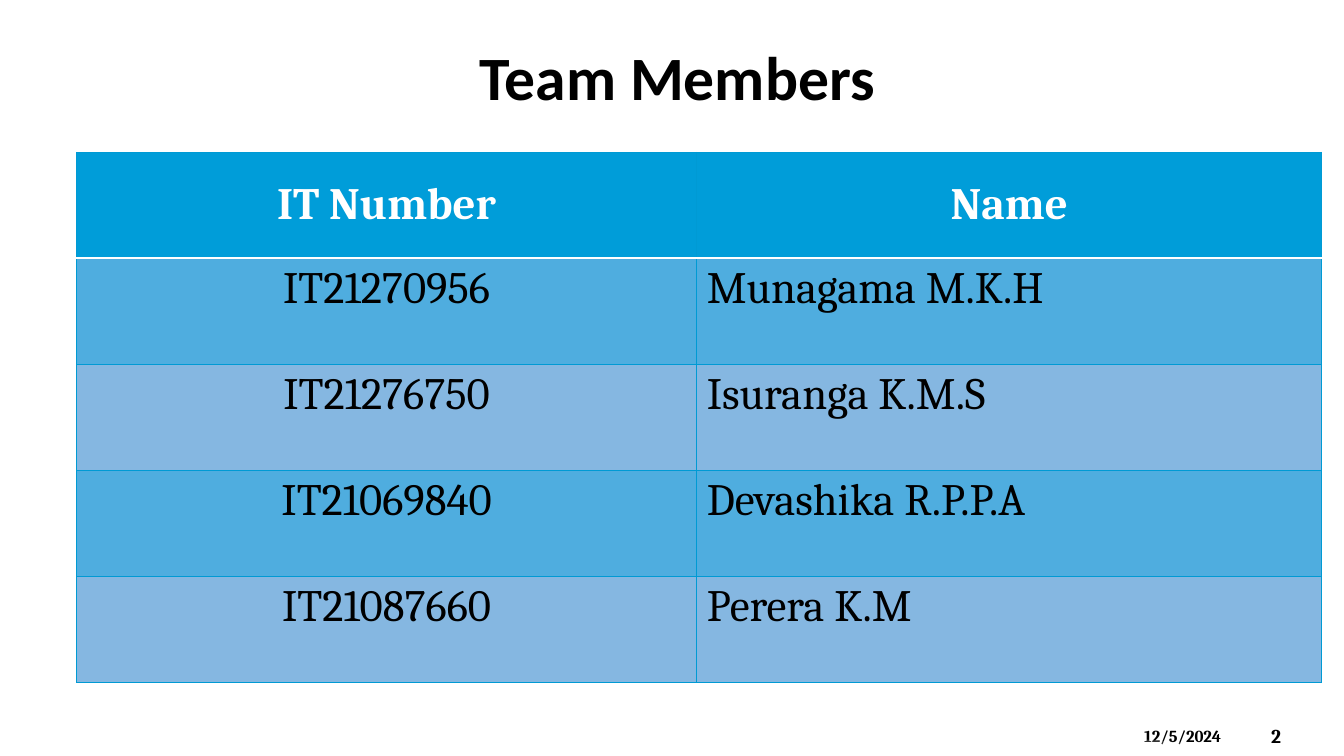
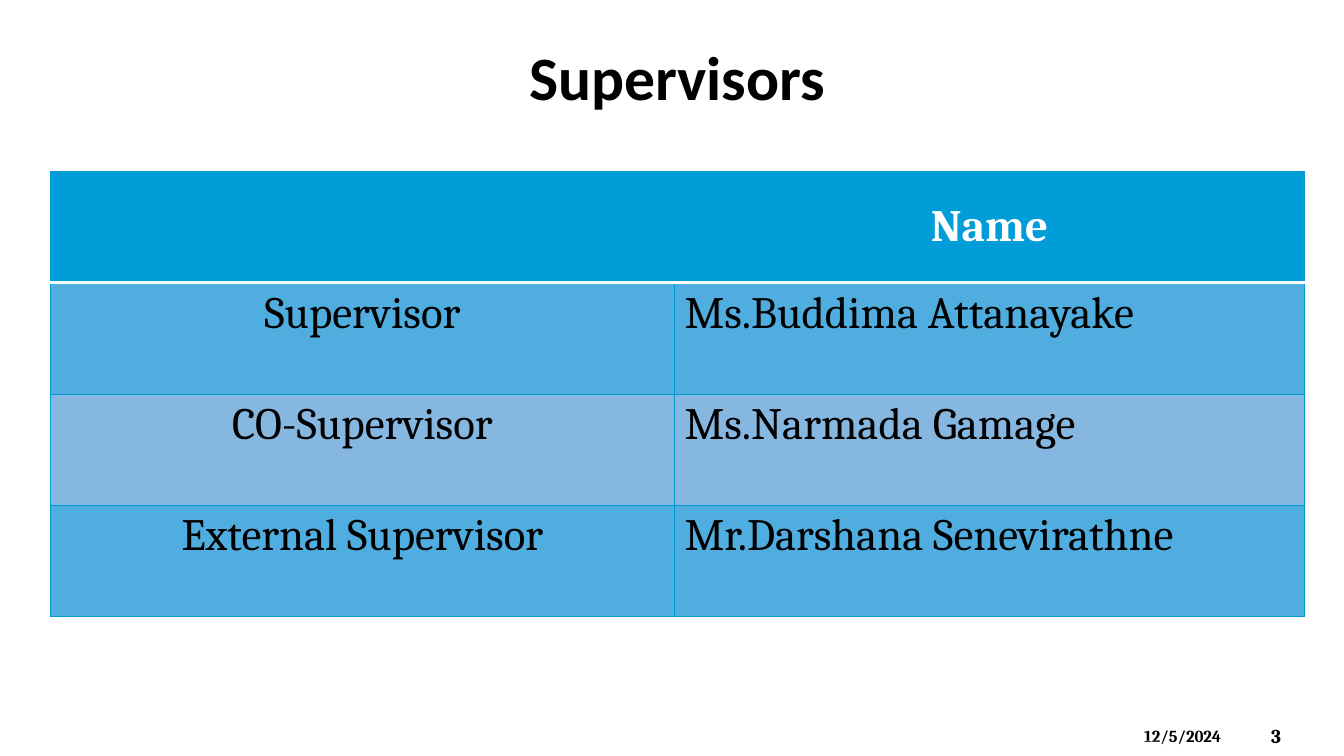
from lxml import etree
from pptx import Presentation
from pptx.dml.color import RGBColor
from pptx.enum.shapes import MSO_SHAPE
from pptx.enum.text import MSO_ANCHOR, PP_ALIGN
from pptx.oxml.ns import qn
from pptx.util import Inches, Pt

CENTER, LEFT, JUSTIFY = PP_ALIGN.CENTER, PP_ALIGN.LEFT, PP_ALIGN.JUSTIFY
TOP, MIDDLE = MSO_ANCHOR.TOP, MSO_ANCHOR.MIDDLE
TRIANGLE = MSO_SHAPE.ISOSCELES_TRIANGLE

COLORS = {
    "text": "000000",
    "white": "FFFFFF",
    "header": "009DD9",
    "odd_row": "4FADDF",
    "even_row": "85B7E1",
    "border": "009AD4",
}
TITLE_FONT, BODY_FONT = "Calibri", "Cambria"
DATE = "12/5/2024"
WIDTH, HEIGHT = 13.33, 7.5
FOOTER_PEAKS = [(0.41, 0.63), (0.2, 0.39)]

SLIDES = [
    {
        "number": 2,
        "title": "Team Members",
        "box": (0.76, 1.51, 12.35, 5.26),
        "first_col": 6.15,
        "rows": [
            ("IT Number", "Name"),
            ("IT21270956", "Munagama M.K.H"),
            ("IT21276750", "Isuranga K.M.S"),
            ("IT21069840", "Devashika R.P.P.A"),
            ("IT21087660", "Perera K.M"),
        ],
    },
    {
        "number": 3,
        "title": "Supervisors",
        "box": (0.5, 1.7, 12.44, 4.42),
        "first_col": 6.19,
        "rows": [
            ("", "Name"),
            ("Supervisor", "Ms.Buddima Attanayake"),
            ("CO-Supervisor", "Ms.Narmada Gamage"),
            ("External Supervisor", "Mr.Darshana Senevirathne"),
        ],
    },
]


def rgb(name):
    return RGBColor.from_string(COLORS[name])


def write(tf, text, size, font, color="text", bold=True, align=LEFT):
    p = tf.paragraphs[0]
    p.text = text
    p.alignment = align
    p.font.size = Pt(size)
    for r in p.runs:
        r.font.size = Pt(size)
        r.font.name = font
        r.font.bold = bold
        r.font.color.rgb = rgb(color)


def add_text(s, box, text, size, font, align=LEFT, anchor=TOP):
    tf = s.shapes.add_textbox(*map(Inches, box)).text_frame
    tf.word_wrap = True
    tf.vertical_anchor = anchor
    write(tf, text, size, font, align=align)


def set_borders(cell, **edges):
    tc_pr = cell._tc.get_or_add_tcPr()
    for i, side in enumerate("LRTB"):
        color, width = edges.get(side, ("border", 0.75))
        ln = etree.Element(qn(f"a:ln{side}"), w=str(Pt(width)))
        fill = etree.SubElement(ln, qn("a:solidFill"))
        etree.SubElement(fill, qn("a:srgbClr"), val=COLORS[color])
        tc_pr.insert(i, ln)


def style_cell(cell, text, row, col):
    cell.fill.solid()
    rule = ("white", 2)
    if row == 0:
        cell.fill.fore_color.rgb = rgb("header")
        cell.vertical_anchor = MIDDLE
        write(cell.text_frame, text, 32, BODY_FONT, "white", align=CENTER)
        set_borders(cell, B=rule)
        return
    cell.fill.fore_color.rgb = rgb("odd_row" if row % 2 else "even_row")
    align = JUSTIFY if col else CENTER
    write(cell.text_frame, text, 32, BODY_FONT, bold=False, align=align)
    set_borders(cell, **({"T": rule} if row == 1 else {}))


def add_name_table(s, box, first_col, rows):
    width, height = box[2:]
    table = s.shapes.add_table(len(rows), 2, *map(Inches, box)).table
    for column, w in zip(table.columns, (first_col, width - first_col)):
        column.width = Inches(w)
    for i, texts in enumerate(rows):
        table.rows[i].height = Inches(height / len(rows))
        for j, text in enumerate(texts):
            style_cell(table.cell(i, j), text, i, j)


def add_peak(s, height, apex):
    box = (0, HEIGHT - height, WIDTH, height)
    sp = s.shapes.add_shape(TRIANGLE, *map(Inches, box))
    sp.adjustments[0] = apex
    sp.shadow.inherit = False
    sp.line.fill.background()
    sp.fill.solid()
    sp.fill.fore_color.rgb = rgb("white")
    color = sp.fill._xPr.find(f".//{qn('a:srgbClr')}")
    etree.SubElement(color, qn("a:alpha"), val="20000")


def add_footer(s, number):
    add_text(s, (11.25, 7.15, 1.17, 0.3), DATE, 12, BODY_FONT)
    for height, apex in FOOTER_PEAKS:
        add_peak(s, height, apex)
    add_text(s, (12.51, 7.1, 0.74, 0.4), str(number), 14, BODY_FONT, anchor=MIDDLE)


def add_table_slide(prs, number, title, box, first_col, rows):
    s = prs.slides.add_slide(prs.slide_layouts[6])
    add_footer(s, number)
    add_text(s, (0.33, 0.34, 12.78, 0.87), title, 44, TITLE_FONT, CENTER)
    add_name_table(s, box, first_col, rows)


def main():
    prs = Presentation()
    prs.slide_width = Inches(WIDTH)
    prs.slide_height = Inches(HEIGHT)
    for content in SLIDES:
        add_table_slide(prs, **content)
    prs.save("out.pptx")


if __name__ == "__main__":
    main()
